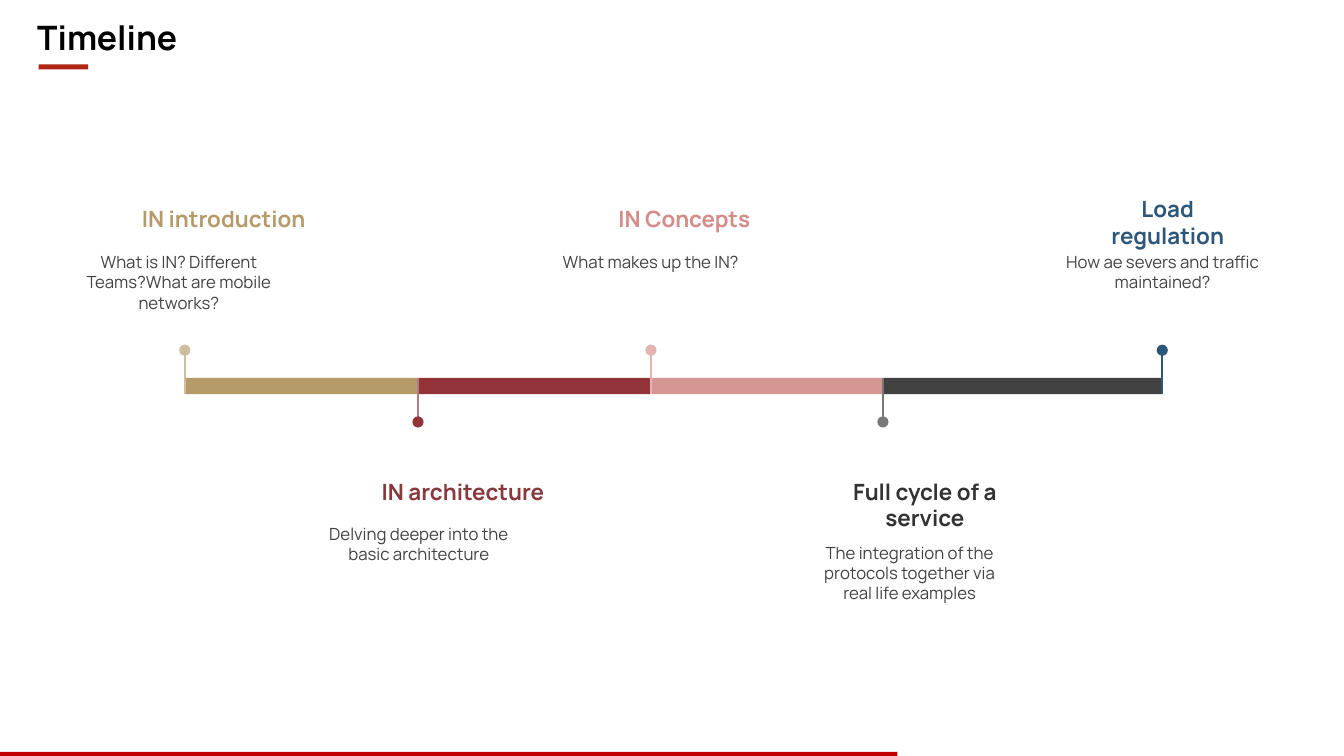
import pptx
import pptx.dml.color
import pptx.enum.shapes
import pptx.enum.text
import pptx.util
from lxml import etree

Pt = pptx.util.Pt
RGBColor = pptx.dml.color.RGBColor
SHAPE = pptx.enum.shapes.MSO_SHAPE
ALIGN = pptx.enum.text.PP_ALIGN
ANCHOR = pptx.enum.text.MSO_ANCHOR

BLACK = RGBColor(0x00, 0x00, 0x00)
TITLE_RED = RGBColor(0xB0, 0x24, 0x18)
FOOTER_RED = RGBColor(0xC0, 0x00, 0x00)
GOLD = RGBColor(0xB6, 0x9B, 0x6A)
LIGHT_GOLD = RGBColor(0xCF, 0xBE, 0x9E)
MAROON = RGBColor(0x92, 0x33, 0x39)
DARK_MAROON = RGBColor(0x87, 0x39, 0x3C)
LIGHT_MAROON = RGBColor(0xB0, 0x7E, 0x7F)
ROSE = RGBColor(0xD4, 0x97, 0x93)
DEEP_ROSE = RGBColor(0xD4, 0x8C, 0x89)
LIGHT_ROSE = RGBColor(0xE3, 0xB4, 0xB2)
CHARCOAL = RGBColor(0x42, 0x42, 0x42)
DARK_CHARCOAL = RGBColor(0x32, 0x32, 0x32)
GREY = RGBColor(0x79, 0x79, 0x79)
BLUE = RGBColor(0x2D, 0x57, 0x79)

BAR_TOP, BAR_HEIGHT = 270, 11.5
DOT_SIZE = 8
DETAIL_WIDTH = 147.6


def write_text(holder, text, size=12, color=CHARCOAL, bold=False,
               align=ALIGN.CENTER, anchor=ANCHOR.TOP, wrap=True):
    frame = holder.text_frame
    frame.word_wrap = wrap
    frame.auto_size = pptx.enum.text.MSO_AUTO_SIZE.NONE
    frame.vertical_anchor = anchor
    frame.margin_left = frame.margin_right = Pt(3.6)
    frame.margin_top = frame.margin_bottom = Pt(3.6)
    paragraph = frame.paragraphs[0]
    paragraph.alignment = align
    paragraph.line_spacing = 1.0
    run = paragraph.add_run()
    run.text = text
    run.font.name = "Manrope"
    run.font.size = Pt(size)
    run.font.bold = bold
    run.font.color.rgb = color


class TimelineSlide:
    def __init__(self, slide, stem_width=1.5):
        self.slide = slide
        self.stem_width = stem_width

    def title(self, text, left, top, width, height):
        title = self.slide.shapes.title
        title.left, title.top = Pt(left), Pt(top)
        title.width, title.height = Pt(width), Pt(height)
        write_text(title, text, size=24, color=BLACK, bold=True,
                   align=ALIGN.LEFT, wrap=False)

    def text(self, text, left, top, width, height, **style):
        box = self.slide.shapes.add_textbox(
            Pt(left), Pt(top), Pt(width), Pt(height))
        write_text(box, text, **style)

    def shape(self, kind, left, top, width, height, color):
        shape = self.slide.shapes.add_shape(
            kind, Pt(left), Pt(top), Pt(width), Pt(height))
        shape.shadow.inherit = False
        shape.fill.solid()
        shape.fill.fore_color.rgb = color
        shape.line.fill.background()

    def stem(self, x, start, end, color):
        stem = self.slide.shapes.add_connector(
            pptx.enum.shapes.MSO_CONNECTOR.STRAIGHT,
            Pt(x), Pt(start), Pt(x), Pt(end))
        stem.line.color.rgb = color
        stem.line.width = Pt(self.stem_width)
        etree.SubElement(stem.element.spPr, pptx.oxml.ns.qn("a:effectLst"))

    def marker(self, x, above, stem_color, dot_color):
        if above:
            dot_top, start, end = 246.2, 251, BAR_TOP + BAR_HEIGHT
        else:
            dot_top, start, end = 297.4, 300, BAR_TOP
        self.stem(x, start, end, stem_color)
        self.shape(SHAPE.OVAL, x - DOT_SIZE / 2, dot_top,
                   DOT_SIZE, DOT_SIZE, dot_color)


def main():
    deck = pptx.Presentation()
    deck.slide_width, deck.slide_height = Pt(960), Pt(540)
    page = TimelineSlide(deck.slides.add_slide(deck.slide_layouts[5]))

    # Title and accent bars
    page.title("Timeline", 23, 8.6, 108.7, 36)
    page.shape(SHAPE.RECTANGLE, 27.6, 46, 35.4, 3.6, TITLE_RED)
    page.shape(SHAPE.RECTANGLE, 0, 537, 641, 3.6, FOOTER_RED)

    # Timeline segments, each running to the next milestone
    stops = [132, 298.6, 465, 630.7, 830.2]
    segment_colors = [GOLD, MAROON, ROSE, CHARCOAL]
    for start, end, color in zip(stops, stops[1:], segment_colors):
        page.shape(SHAPE.RECTANGLE, start, BAR_TOP, end - start,
                   BAR_HEIGHT, color)

    # Milestones: heading and its box, detail and its box,
    # then colours of heading, stem and dot
    milestones = [
        ("IN introduction", (95, 143.3, 129.6, 26.6),
         "What is IN? Different Teams?What are mobile networks?",
         (54, 176.4, DETAIL_WIDTH, 51), GOLD, LIGHT_GOLD, LIGHT_GOLD),
        ("IN architecture", (268.4, 337.7, 124.6, 26.6),
         "Delving deeper into the basic architecture",
         (225.4, 370.8, DETAIL_WIDTH, 36),
         DARK_MAROON, LIGHT_MAROON, MAROON),
        ("IN Concepts", (432.7, 143.3, 112.3, 26.6),
         "What makes up the IN?",
         (391, 176.4, DETAIL_WIDTH, 21.6),
         DEEP_ROSE, LIGHT_ROSE, LIGHT_ROSE),
        ("Full cycle of a service", (598.3, 337.7, 124.6, 46),
         "The integration of the protocols together via real life examples",
         (576, 383.8, DETAIL_WIDTH, 51), DARK_CHARCOAL, GREY, GREY),
        ("Load regulation", (781.2, 136.1, 105.8, 46),
         "How ae severs and traffic maintained?",
         (756.7, 176.4, DETAIL_WIDTH, 36), BLUE, BLUE, BLUE),
    ]
    for index, (x, milestone) in enumerate(zip(stops, milestones)):
        (heading, heading_box, detail, detail_box,
         heading_color, stem_color, dot_color) = milestone
        page.marker(x, index % 2 == 0, stem_color, dot_color)
        page.text(heading, *heading_box, size=16, color=heading_color,
                  bold=True)
        page.text(detail, *detail_box)

    deck.save("out.pptx")


if __name__ == "__main__":
    main()
